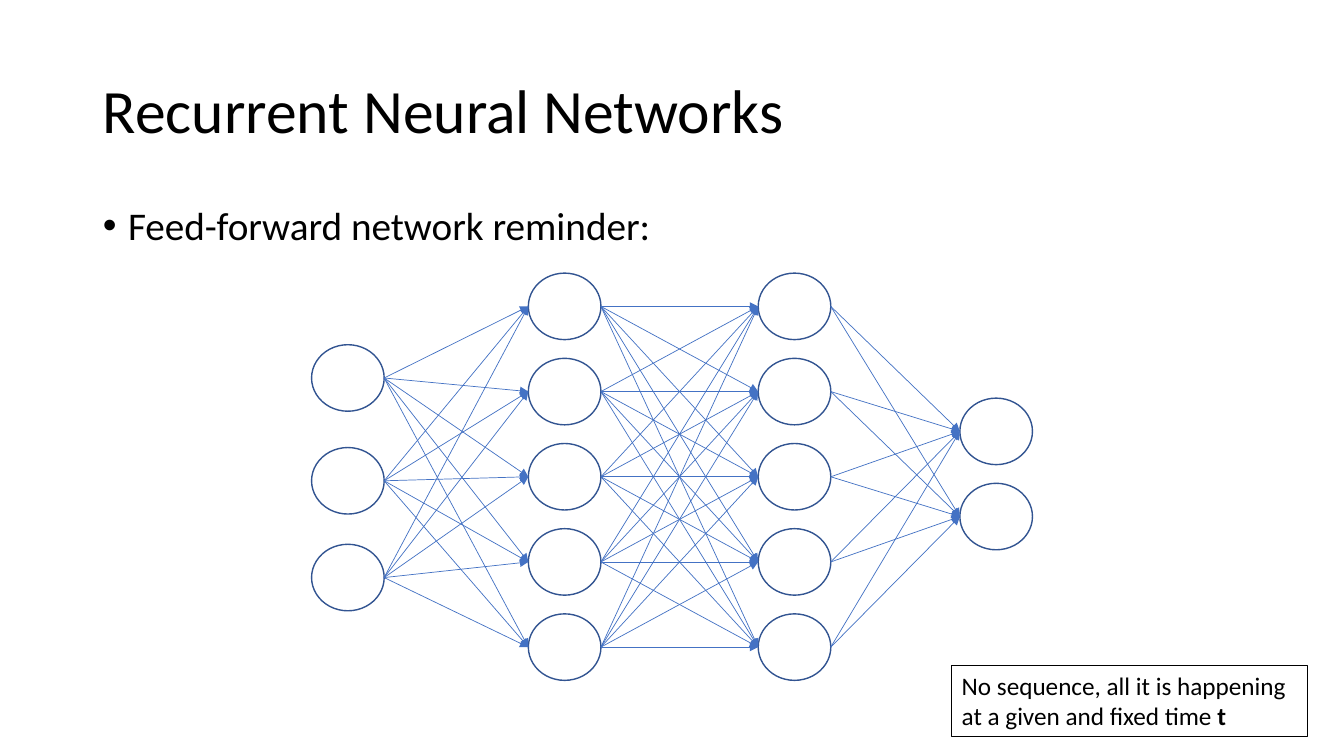
from dataclasses import dataclass
from itertools import pairwise, product

from lxml.etree import SubElement
from pptx import Presentation
from pptx.dml.color import RGBColor
from pptx.enum.shapes import MSO_CONNECTOR, MSO_SHAPE
from pptx.enum.text import MSO_ANCHOR, PP_ALIGN
from pptx.oxml.ns import qn
from pptx.util import Inches, Pt


@dataclass(frozen=True)
class Theme:
    font: str = "Calibri"
    ink: RGBColor = RGBColor(0, 0, 0)
    paper: RGBColor = RGBColor(255, 255, 255)
    ring: RGBColor = RGBColor(0x32, 0x54, 0x91)
    wire: RGBColor = RGBColor(0x44, 0x72, 0xC4)
    title: int = 44
    body: int = 28
    note: int = 18
    thin: float = 0.5
    edge: float = 1


THEME = Theme()
NODE = (0.72, 0.66)
STEP = 0.845
LAYERS = (
    (0, (0.71, 1.73, 2.69)),
    (2.15, tuple(row * STEP for row in range(5))),
    (4.43, tuple(row * STEP for row in range(5))),
    (6.43, (1.24, 1.24 + STEP)),
)


def place(shape, box):
    shape.left, shape.top, shape.width, shape.height = map(Inches, box)


def style(para, size):
    for run in para.runs:
        run.font.name = THEME.font
        run.font.size = Pt(size)
        run.font.color.rgb = THEME.ink


def add_title(slide, box):
    title = slide.shapes.title
    place(title, box)
    frame = title.text_frame
    frame.text = "Recurrent Neural Networks"
    frame.vertical_anchor = MSO_ANCHOR.MIDDLE
    para = frame.paragraphs[0]
    para.alignment = PP_ALIGN.LEFT
    para.line_spacing = 0.9
    style(para, THEME.title)


def add_body(slide, box):
    body = slide.placeholders[1]
    place(body, box)
    body.text_frame.text = "Feed-forward network reminder:"
    para = body.text_frame.paragraphs[0]
    para.line_spacing = 0.9
    para.space_before = Pt(0)
    props = para._p.get_or_add_pPr()
    props.set("marL", str(Inches(0.25)))
    props.set("indent", str(-Inches(0.25)))
    SubElement(props, qn("a:buFont"), typeface="Arial")
    SubElement(props, qn("a:buChar"), char="•")
    style(para, THEME.body)


def add_node(group, left, top):
    node = group.shapes.add_shape(MSO_SHAPE.OVAL, *map(Inches, (left, top, *NODE)))
    node.shadow.inherit = False
    node.fill.background()
    node.line.color.rgb = THEME.ring
    node.line.width = Pt(THEME.edge)


def add_arrow(group, start, end):
    arrow = group.shapes.add_connector(
        MSO_CONNECTOR.STRAIGHT, *map(Inches, (*start, *end))
    )
    arrow.line.color.rgb = THEME.wire
    arrow.line.width = Pt(THEME.thin)
    SubElement(arrow.line._get_or_add_ln(), qn("a:tailEnd"), type="triangle")
    SubElement(arrow._element.spPr, qn("a:effectLst"))


def add_network(slide, left, top):
    group = slide.shapes.add_group_shape()
    wide, high = NODE
    layers = [
        [(left + x, top + y) for y in rows] for x, rows in LAYERS
    ]
    for layer in layers:
        for spot in layer:
            add_node(group, *spot)
    for here, there in pairwise(layers):
        for (x1, y1), (x2, y2) in product(here, there):
            add_arrow(group, (x1 + wide, y1 + high / 2), (x2, y2 + high / 2))


def add_note(slide, box):
    note = slide.shapes.add_textbox(*map(Inches, box))
    note.fill.solid()
    note.fill.fore_color.rgb = THEME.paper
    note.line.color.rgb = THEME.ink
    note.line.width = Pt(THEME.edge)
    frame = note.text_frame
    frame.word_wrap = True
    para = frame.paragraphs[0]
    para.add_run().text = "No sequence, all it is happening at a given and fixed time "
    time = para.add_run()
    time.text = "t"
    time.font.bold = True
    style(para, THEME.note)


def main():
    deck = Presentation()
    deck.slide_width, deck.slide_height = Inches(13.33), Inches(7.5)
    slide = deck.slides.add_slide(deck.slide_layouts[1])
    add_title(slide, (0.92, 0.4, 11.5, 1.45))
    add_body(slide, (0.92, 2, 11.5, 4.76))
    add_network(slide, 3.09, 2.71)
    add_note(slide, (9.44, 6.6, 3.53, 0.71))
    deck.save("out.pptx")


if __name__ == "__main__":
    main()
